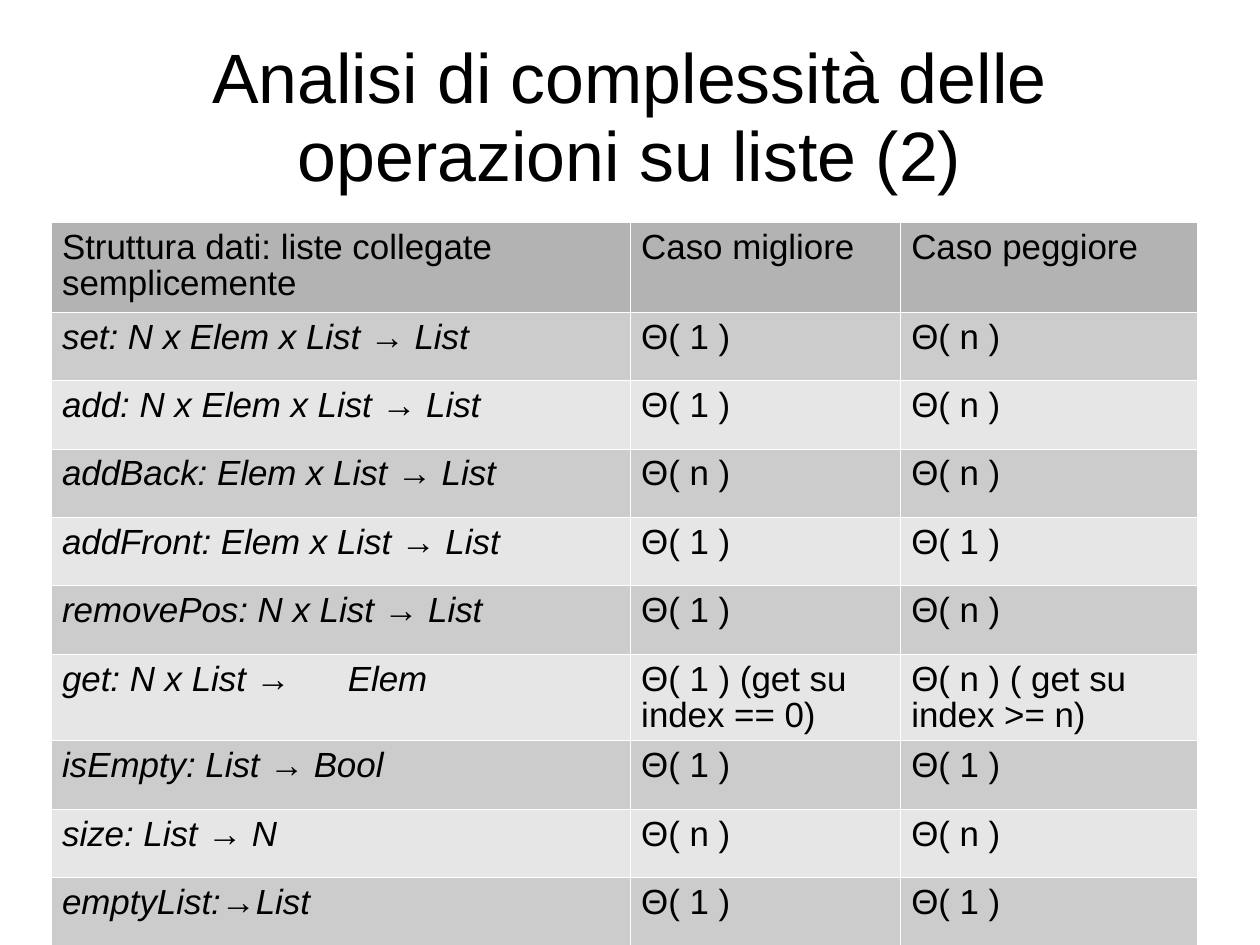
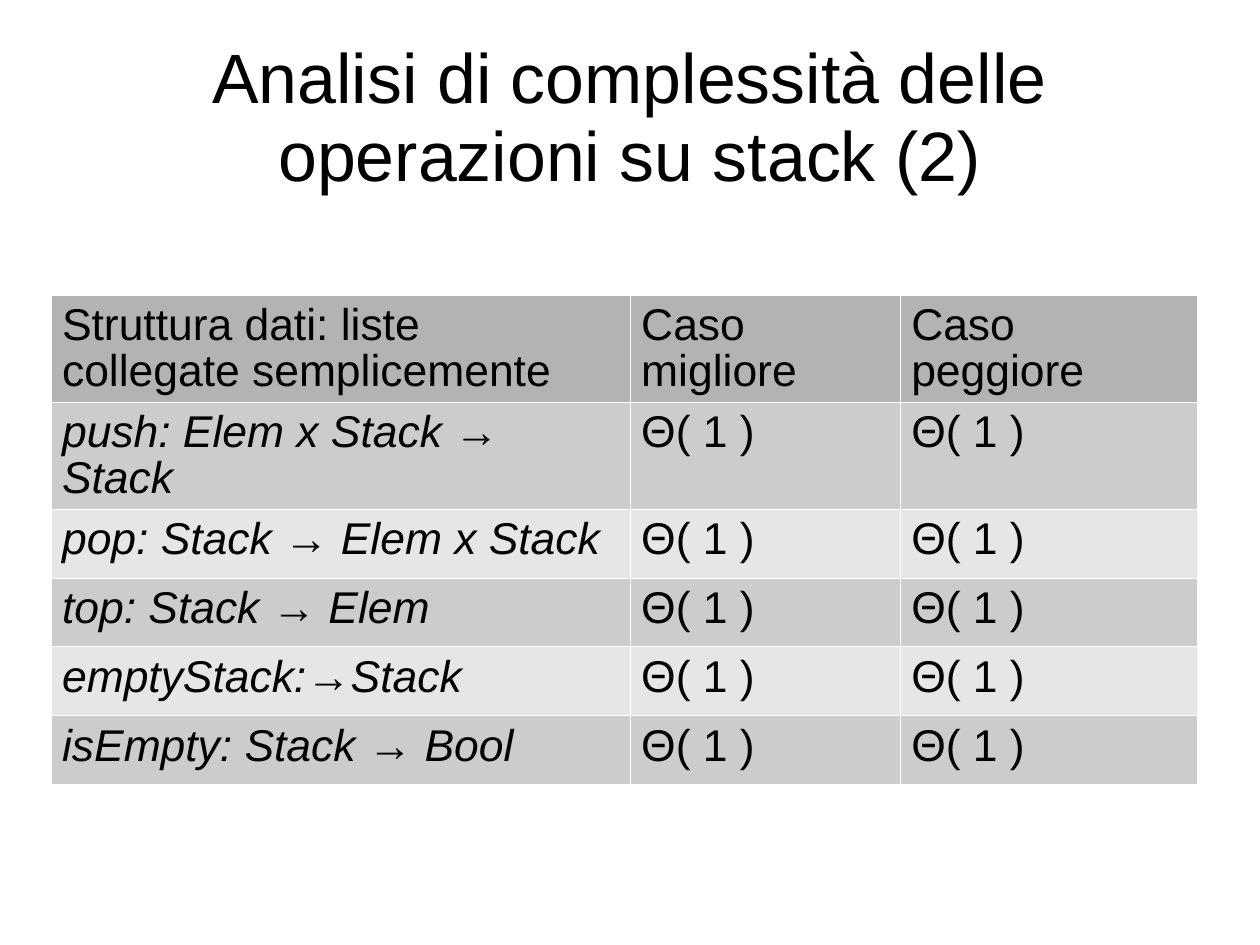
from lxml.etree import SubElement
from pptx import Presentation
from pptx.dml.color import RGBColor
from pptx.enum.text import MSO_ANCHOR, MSO_AUTO_SIZE, PP_ALIGN
from pptx.oxml import parse_xml
from pptx.oxml.ns import nsdecls, qn
from pptx.util import Cm, Pt

FONT = "Arial"
BLACK = RGBColor(0x00, 0x00, 0x00)
WHITE = RGBColor(0xFF, 0xFF, 0xFF)
HEAD = RGBColor(0xB3, 0xB3, 0xB3)
BANDS = (RGBColor(0xCC, 0xCC, 0xCC), RGBColor(0xE6, 0xE6, 0xE6))
SPACING = 0.93
TAB = Cm(1.27)
TABS = 8
LEFT = Cm(1.13)
COLS = (Cm(12.87), Cm(6), Cm(6.6))

ONE, LIN = "Θ( 1 )", "Θ( n )"
CASES = ("Caso migliore", "Caso peggiore")

SLIDES = [
    {
        "title": "Analisi di complessità delle operazioni su liste (2)",
        "top": Cm(4.93), "size": Pt(22), "inset": Cm(0.18),
        "head": Cm(2), "row": Cm(1.52),
        "rows": [
            ("Struttura dati: liste collegate semplicemente", *CASES),
            ("set: N x Elem x List → List", ONE, LIN),
            ("add: N x Elem x List → List", ONE, LIN),
            ("addBack: Elem x List → List", LIN, LIN),
            ("addFront: Elem x List → List", ONE, ONE),
            ("removePos: N x List → List", ONE, LIN),
            ("get: N x List →\tElem", "Θ( 1 ) (get su index == 0)",
             "Θ( n ) ( get su index >= n)"),
            ("isEmpty: List → Bool", ONE, ONE),
            ("size: List → N", LIN, LIN),
            ("emptyList:→List", ONE, ONE),
        ],
    },
    {
        "title": "Analisi di complessità delle operazioni su stack (2)",
        "top": Cm(6.55), "size": Pt(28), "inset": Cm(0.2),
        "head": Cm(0.8), "row": Cm(1.53),
        "rows": [
            ("Struttura dati: liste\ncollegate semplicemente", *CASES),
            ("push: Elem x Stack → Stack", ONE, ONE),
            ("pop: Stack → Elem x Stack", ONE, ONE),
            ("top: Stack → Elem", ONE, ONE),
            ("emptyStack:→Stack", ONE, ONE),
            ("isEmpty: Stack → Bool", ONE, ONE),
        ],
    },
]


def write(para, text, size, italic=False):
    para.line_spacing = SPACING
    for i, line in enumerate(text.split("\n")):
        if i:
            para.add_line_break()
        run = para.add_run()
        run.text = line
        run.font.name = FONT
        run.font.size = size
        run.font.italic = italic
        run.font.color.rgb = BLACK


def add_tabs(para):
    stops = SubElement(para._p.get_or_add_pPr(), qn("a:tabLst"))
    for i in range(1, TABS + 1):
        SubElement(stops, qn("a:tab"), pos=str(TAB * i), algn="l")


def add_borders(cell):
    props = cell._tc.get_or_add_tcPr()
    for i, side in enumerate("LRTB"):
        props.insert(i, parse_xml(
            f'<a:ln{side} {nsdecls("a")} w="{Pt(0.06)}"><a:solidFill>'
            f'<a:srgbClr val="{WHITE}"/></a:solidFill></a:ln{side}>'))


def set_title(slide, text):
    title = slide.shapes.title
    title.left, title.top = Cm(1.4), Cm(0.84)
    title.width, title.height = Cm(25.2), Cm(3.5)
    frame = title.text_frame
    frame.auto_size = MSO_AUTO_SIZE.NONE
    frame.word_wrap = True
    frame.vertical_anchor = MSO_ANCHOR.MIDDLE
    frame.margin_left = frame.margin_right = frame.margin_bottom = 0
    frame.margin_top = Cm(0.1)
    para = frame.paragraphs[0]
    para.alignment = PP_ALIGN.CENTER
    write(para, text, Pt(44))


def fill_cell(cell, text, color, size, inset, italic):
    cell.margin_left = cell.margin_right = Cm(0.25)
    cell.margin_top, cell.margin_bottom = inset, Cm(0.13)
    cell.vertical_anchor = MSO_ANCHOR.TOP
    cell.fill.solid()
    cell.fill.fore_color.rgb = color
    add_borders(cell)
    para = cell.text_frame.paragraphs[0]
    write(para, text, size, italic)
    add_tabs(para)


def add_grid(slide, data):
    rows = data["rows"]
    high = data["head"] + data["row"] * (len(rows) - 1)
    table = slide.shapes.add_table(
        len(rows), len(COLS), LEFT, data["top"], sum(COLS), high).table
    table.first_row = table.horz_banding = False
    for col, width in zip(table.columns, COLS):
        col.width = width
    for r, texts in enumerate(rows):
        table.rows[r].height = data["row"] if r else data["head"]
        color = BANDS[(r - 1) % 2] if r else HEAD
        for c, text in enumerate(texts):
            fill_cell(table.cell(r, c), text, color, data["size"],
                      data["inset"], italic=r > 0 and c == 0)


def main():
    deck = Presentation()
    deck.slide_width, deck.slide_height = Cm(28), Cm(21)
    layout = deck.slide_layouts.get_by_name("Title Only")
    for data in SLIDES:
        slide = deck.slides.add_slide(layout)
        set_title(slide, data["title"])
        add_grid(slide, data)
    deck.save("out.pptx")


if __name__ == "__main__":
    main()
